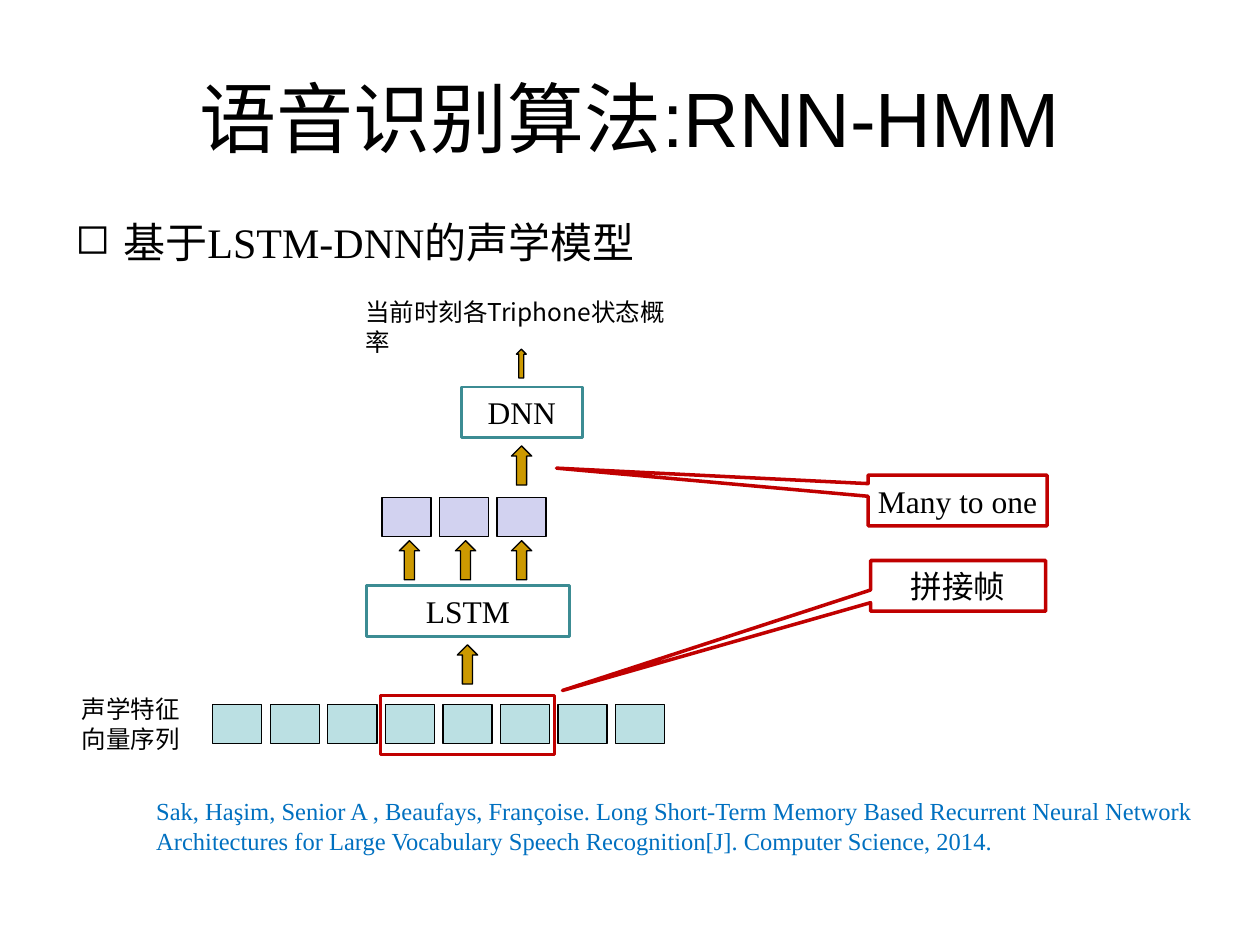
from dataclasses import dataclass
from typing import Optional

from lxml import etree
from pptx import Presentation
from pptx.dml.color import RGBColor
from pptx.enum.shapes import MSO_SHAPE
from pptx.enum.text import MSO_ANCHOR, PP_ALIGN
from pptx.oxml.ns import qn
from pptx.util import Cm, Pt

RECT = MSO_SHAPE.RECTANGLE
ARROW = MSO_SHAPE.UP_ARROW
CALLOUT = MSO_SHAPE.RECTANGULAR_CALLOUT
TOP, MIDDLE = MSO_ANCHOR.TOP, MSO_ANCHOR.MIDDLE
LEFT, CENTER = PP_ALIGN.LEFT, PP_ALIGN.CENTER

ARIAL, TIMES, CJK = "Arial", "Times New Roman", "Noto Sans CJK SC"
BLACK, WHITE, RED, TEAL = "000000", "FFFFFF", "C00000", "3C8C93"
CELL_WIDTH, CELL_HEIGHT, CELL_STEP = 0.99, 0.79, 1.16
ARROW_WIDTH, ARROW_STEP = 0.41, 1.13


@dataclass(frozen=True)
class Area:
    """Left, top, width and height in centimetres."""
    left: float
    top: float
    width: float
    height: float

    def lengths(self) -> list:
        return [Cm(v) for v in (self.left, self.top, self.width, self.height)]


@dataclass(frozen=True)
class Look:
    line: str
    weight: float
    fill: Optional[str] = None
    opacity: int = 100


@dataclass(frozen=True)
class Label:
    text: str
    size: int
    font: str
    color: str = BLACK
    align: PP_ALIGN = LEFT
    anchor: MSO_ANCHOR = TOP
    wrap: bool = True


FEATURE = Look(BLACK, 0.75, "BBE0E3")
HIDDEN = Look(BLACK, 0.75, "A3A3E0", 48)
FLOW = Look(BLACK, 0.75, "CC9900")
WINDOW = Look(RED, 1.25)
NETWORK = Look(TEAL, 1.5)
NOTE = Look(RED, 2, WHITE)


def color(hex_code: str) -> RGBColor:
    return RGBColor.from_string(hex_code)


def write(box, label: Label) -> None:
    frame = box.text_frame
    for name, value in {"word_wrap": label.wrap,
                        "vertical_anchor": label.anchor}.items():
        setattr(frame, name, value)
    for index, line in enumerate(label.text.split("\n")):
        para = frame.add_paragraph() if index else frame.paragraphs[0]
        para.alignment = label.align
        span = para.add_run()
        span.text = line
        for name, value in {"size": Pt(label.size), "name": label.font}.items():
            setattr(span.font, name, value)
        span.font.color.rgb = color(label.color)
        east_asian = etree.SubElement(span._r.get_or_add_rPr(), qn("a:ea"))
        east_asian.set("typeface", CJK)


def add_text(page, area: Area, label: Label):
    box = page.shapes.add_textbox(*area.lengths())
    write(box, label)
    return box


def add_figure(page, kind: MSO_SHAPE, area: Area, look: Look,
               label: Optional[Label] = None):
    shape = page.shapes.add_shape(kind, *area.lengths())
    shape.shadow.inherit = False
    shape.line.color.rgb = color(look.line)
    shape.line.width = Pt(look.weight)
    if look.fill is None:
        shape.fill.background()
    else:
        shape.fill.solid()
        shape.fill.fore_color.rgb = color(look.fill)
    if look.opacity < 100:
        tint = shape._element.spPr.find(qn("a:solidFill"))[0]
        etree.SubElement(tint, qn("a:alpha")).set("val", str(look.opacity * 1000))
    if label:
        write(shape, label)
    return shape


def add_row(page, kind: MSO_SHAPE, first: Area, step: float, count: int,
            look: Look) -> None:
    for index in range(count):
        area = Area(first.left + index * step, first.top, first.width, first.height)
        add_figure(page, kind, area, look)


def add_bullet(para, symbol: str, indent: float) -> None:
    properties = para._p.get_or_add_pPr()
    properties.set("marL", str(Cm(indent)))
    properties.set("indent", str(-Cm(indent)))
    etree.SubElement(properties, qn("a:buChar")).set("char", symbol)


def add_callout(page, area: Area, label: Label, tip: tuple) -> None:
    callout = add_figure(page, CALLOUT, area, NOTE, label)
    for index, value in enumerate(tip):
        callout.adjustments[index] = value


def boxed(text: str, font: str = TIMES, wrap: bool = True) -> Label:
    return Label(text, 18, font, align=CENTER, anchor=MIDDLE, wrap=wrap)


def main() -> None:
    deck = Presentation()
    deck.slide_width, deck.slide_height = Cm(25.4), Cm(19.05)
    page = deck.slides.add_slide(deck.slide_layouts[6])

    # Title, bullet and citation
    add_text(page, Area(1.27, 0.76, 22.86, 3.18),
             Label("语音识别算法:RNN-HMM", 44, ARIAL, align=CENTER, anchor=MIDDLE))
    body = add_text(page, Area(1.27, 3.73, 23.04, 14.6),
                    Label("基于LSTM-DNN的声学模型", 24, TIMES))
    bullet = body.text_frame.paragraphs[0]
    add_bullet(bullet, "◻", 0.97)
    bullet.line_spacing = 1.5
    add_text(page, Area(2.9, 15.93, 21.79, 1.45),
             Label("Sak, Haşim, Senior A , Beaufays, Françoise. Long Short-Term "
                   "Memory Based Recurrent Neural Network Architectures for Large "
                   "Vocabulary Speech Recognition[J]. Computer Science, 2014.",
                   14, TIMES, "0070C0"))

    # Feature sequence with the window of joined frames
    add_row(page, RECT, Area(4.29, 14.2, CELL_WIDTH, CELL_HEIGHT),
            CELL_STEP, 8, FEATURE)
    add_figure(page, RECT, Area(7.67, 14.02, 3.51, 1.19), WINDOW)
    add_text(page, Area(1.4, 13.87, 2.51, 1.45),
             Label("声学特征\n向量序列", 14, CJK, wrap=False))

    # Networks and hidden outputs
    add_figure(page, RECT, Area(7.39, 11.81, 4.09, 1.02), NETWORK, boxed("LSTM"))
    add_row(page, RECT, Area(7.7, 10.03, CELL_WIDTH, CELL_HEIGHT),
            CELL_STEP, 3, HIDDEN)
    add_figure(page, RECT, Area(9.3, 7.8, 2.44, 1.02), NETWORK, boxed("DNN"))
    add_text(page, Area(7.11, 5.87, 6.99, 0.86),
             Label("当前时刻各Triphone状态概率", 14, CJK))

    # Upward flow
    add_row(page, ARROW, Area(8.05, 10.9, ARROW_WIDTH, CELL_HEIGHT),
            ARROW_STEP, 3, FLOW)
    for area in (Area(9.22, 13, ARROW_WIDTH, CELL_HEIGHT),
                 Area(10.31, 8.99, ARROW_WIDTH, CELL_HEIGHT),
                 Area(10.41, 7.04, 0.2, 0.58)):
        add_figure(page, ARROW, area, FLOW)

    # Callouts
    add_callout(page, Area(17.55, 11.3, 3.53, 1.02),
                boxed("拼接帧", CJK, wrap=False), (-2.26, 2.07))
    add_callout(page, Area(17.5, 9.58, 3.61, 1.02),
                boxed("Many to one", wrap=False), (-2.24, -0.64))

    deck.save("out.pptx")


if __name__ == "__main__":
    main()
